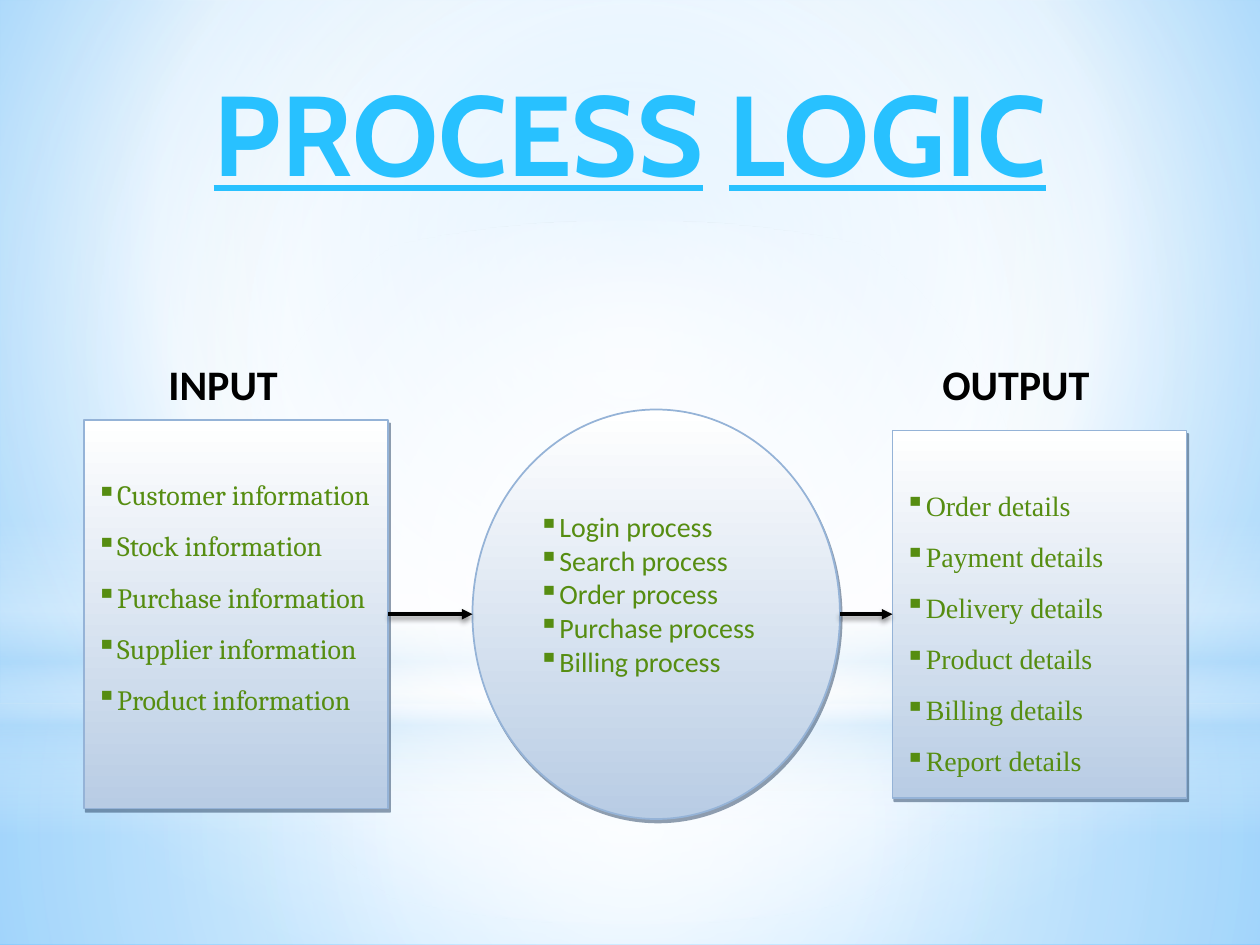
from collections import namedtuple
from dataclasses import dataclass

from lxml import etree
from pptx import Presentation
from pptx.dml.color import RGBColor
from pptx.enum.shapes import MSO_CONNECTOR, MSO_SHAPE
from pptx.enum.text import MSO_ANCHOR, MSO_AUTO_SIZE, PP_ALIGN
from pptx.oxml.ns import qn
from pptx.util import Inches, Pt

RECTANGLE, OVAL = MSO_SHAPE.RECTANGLE, MSO_SHAPE.OVAL
STRAIGHT = MSO_CONNECTOR.STRAIGHT
TOP, MIDDLE = MSO_ANCHOR.TOP, MSO_ANCHOR.MIDDLE
LEFT, CENTER, JUSTIFY = PP_ALIGN.LEFT, PP_ALIGN.CENTER, PP_ALIGN.JUSTIFY
CELL = Inches(1) // 12  # the slide is a grid of 120 columns by 90 rows
TITLE_ONLY = 5

Box = namedtuple("Box", "left top width height")
# stops: (position %, colour, opacity %); focus: left, top, right, bottom insets in %
Gradient = namedtuple("Gradient", "stops focus", defaults=[None])
Shadow = namedtuple("Shadow", "color opacity blur distance angle")
Stage = namedtuple("Stage", "shape box items font align space_after top_inset")


@dataclass(frozen=True)
class Theme:
    title_color: str = "28C1FF"
    item_color: str = "568D11"
    ink: str = "000000"
    outline: str = "95B3D7"
    title_font: str = "Cabin"
    label_font: str = "Calibri"
    title_size: float = 64.8
    label_size: float = 24
    item_size: float = 16
    panel: Gradient = Gradient([(0, "FFFFFF", 100), (100, "B8CCE4", 100)])
    panel_shadow: Shadow = Shadow("243F60", 50, 0, 2.2, 63)
    arrow_shadow: Shadow = Shadow("000000", 45, 3.1, 1.8, 90)
    backdrop: Gradient = Gradient(
        [(0, "9ED5FF", 100), (60, "FFFFFF", 100), (100, "5BB9FF", 100)], (20, 10, 20, 60))


THEME = Theme()
MIDPOINT = (50, 50, 50, 50)
LAYERS = [
    (RECTANGLE, Box(0, 67, 120, 23), Gradient(
        [(0, "FFFFFF", 91), (37, "FFFFFF", 76), (100, "B4DCFA", 79)], MIDPOINT)),
    (RECTANGLE, Box(0, 0, 120, 67), Gradient(
        [(0, "FFFFFF", 89), (48, "FFFFFF", 62), (100, "B4DCFA", 79)], MIDPOINT)),
    (RECTANGLE, Box(0, 49.5, 120, 30), Gradient(
        [(0, "FFFFFF", 0), (29, "FFFFFF", 30), (45, "B4DCFA", 40),
         (55, "FFFFFF", 26), (65, "B4DCFA", 60), (100, "FFFFFF", 0)])),
    (OVAL, Box(0, 21, 120, 67), Gradient(
        [(0, "FFFFFF", 100), (56, "FFFFFF", 0)], MIDPOINT)),
]
STAGES = [
    Stage(RECTANGLE, Box(8, 40, 29, 37),
          [f"{name} information" for name in
           ("Customer", "Stock", "Purchase", "Supplier", "Product")],
          "Cambria", JUSTIFY, 10, 0.46),
    Stage(OVAL, Box(45, 39, 35, 39),
          [f"{name} process" for name in
           ("Login", "Search", "Order", "Purchase", "Billing")],
          "Calibri", LEFT, 0, 0.32),
    Stage(RECTANGLE, Box(85, 41, 28, 35),
          [f"{name} details" for name in
           ("Order", "Payment", "Delivery", "Product", "Billing", "Report")],
          "Times New Roman", LEFT, 10, 0.46),
]
LABELS = [("INPUT", Box(12.25, 33.5, 18, 6)), ("OUTPUT", Box(87.75, 33.5, 18, 6))]
ARROW_ROW = 58.5


def emu(box):
    return [round(cells * CELL) for cells in box]


def add_node(parent, tag, **attributes):
    return etree.SubElement(parent, qn(tag), {k: str(v) for k, v in attributes.items()})


def add_color(parent, color, opacity):
    node = add_node(parent, "a:srgbClr", val=color)
    if opacity < 100:
        add_node(node, "a:alpha", val=opacity * 1000)


def paint(owner, element, gradient):
    """Fill a shape or background with a gradient; call before its line is set."""
    owner.fill.solid()
    solid = element.find(".//" + qn("a:solidFill"))
    fill = etree.Element(qn("a:gradFill"), rotWithShape="1")
    stops = add_node(fill, "a:gsLst")
    for position, color, opacity in gradient.stops:
        add_color(add_node(stops, "a:gs", pos=position * 1000), color, opacity)
    if gradient.focus:
        course = add_node(fill, "a:path", path="circle")
        sides = {side: inset * 1000 for side, inset in zip("ltrb", gradient.focus)}
        add_node(course, "a:fillToRect", **sides)
    else:
        add_node(fill, "a:lin", ang=90 * 60000, scaled=0)
    solid.getparent().replace(solid, fill)


def cast_shadow(shape, shadow):
    """Add the shadow; call after the line is set."""
    effects = add_node(shape.element.spPr, "a:effectLst")
    node = add_node(effects, "a:outerShdw", blurRad=Pt(shadow.blur), dist=Pt(shadow.distance),
                    dir=shadow.angle * 60000, algn="ctr", rotWithShape=0)
    add_color(node, shadow.color, shadow.opacity)


def style_font(font, name, size, color, bold=False):
    font.name, font.size, font.bold = name, Pt(size), bold
    font.color.rgb = RGBColor.from_string(color)


def draw_backdrop(page):
    paint(page.background, page.element.cSld, THEME.backdrop)
    for kind, box, gradient in LAYERS:
        layer = page.shapes.add_shape(kind, *emu(box))
        paint(layer, layer.element.spPr, gradient)
        layer.line.fill.background()
        layer.shadow.inherit = False


def write_title(page, box, words):
    title = page.shapes.title
    title.element.getparent().append(title.element)  # in front of the backdrop
    title.left, title.top, title.width, title.height = emu(box)
    frame = title.text_frame
    frame.vertical_anchor, frame.auto_size = MIDDLE, MSO_AUTO_SIZE.NONE
    para = frame.paragraphs[0]
    para.alignment = CENTER
    style_font(para.font, THEME.title_font, THEME.title_size, THEME.title_color, True)
    for index, word in enumerate(words):
        if index:
            para.add_run().text = " "
        span = para.add_run()
        span.text = word
        span.font.underline = True


def draw_stage(page, stage):
    panel = page.shapes.add_shape(stage.shape, *emu(stage.box))
    paint(panel, panel.element.spPr, THEME.panel)
    panel.line.color.rgb = RGBColor.from_string(THEME.outline)
    panel.line.width = Pt(1)
    cast_shadow(panel, THEME.panel_shadow)
    frame = panel.text_frame
    frame.word_wrap, frame.vertical_anchor = True, TOP
    frame.margin_top = Inches(stage.top_inset)
    for index, item in enumerate(stage.items):
        para = frame.add_paragraph() if index else frame.paragraphs[0]
        para.text, para.alignment = item, stage.align
        add_node(para._p.get_or_add_pPr(), "a:buChar", char="▪")
        para.space_after = Pt(stage.space_after)
        style_font(para.font, stage.font, THEME.item_size, THEME.item_color)


def write_label(page, box, text):
    frame = page.shapes.add_textbox(*emu(box)).text_frame
    frame.word_wrap, frame.vertical_anchor = True, MIDDLE
    para = frame.paragraphs[0]
    para.text, para.alignment = text, CENTER
    style_font(para.font, THEME.label_font, THEME.label_size, THEME.ink, True)


def link_stages(page, source, target):
    start = source.left + source.width
    ends = emu((start, ARROW_ROW, target.left, ARROW_ROW))
    arrow = page.shapes.add_connector(STRAIGHT, *ends)
    arrow.line.color.rgb = RGBColor.from_string(THEME.ink)
    arrow.line.width = Pt(2)
    add_node(arrow.line._get_or_add_ln(), "a:tailEnd", type="triangle")
    cast_shadow(arrow, THEME.arrow_shadow)


def main():
    deck = Presentation()
    deck.slide_width, deck.slide_height = 120 * CELL, 90 * CELL
    page = deck.slides.add_slide(deck.slide_layouts[TITLE_ONLY])
    draw_backdrop(page)
    write_title(page, Box(6, 5, 108, 15), ["PROCESS", "LOGIC"])
    for stage in STAGES:
        draw_stage(page, stage)
    for text, box in LABELS:
        write_label(page, box, text)
    for source, target in zip(STAGES, STAGES[1:]):
        link_stages(page, source.box, target.box)
    deck.save("out.pptx")


if __name__ == "__main__":
    main()
